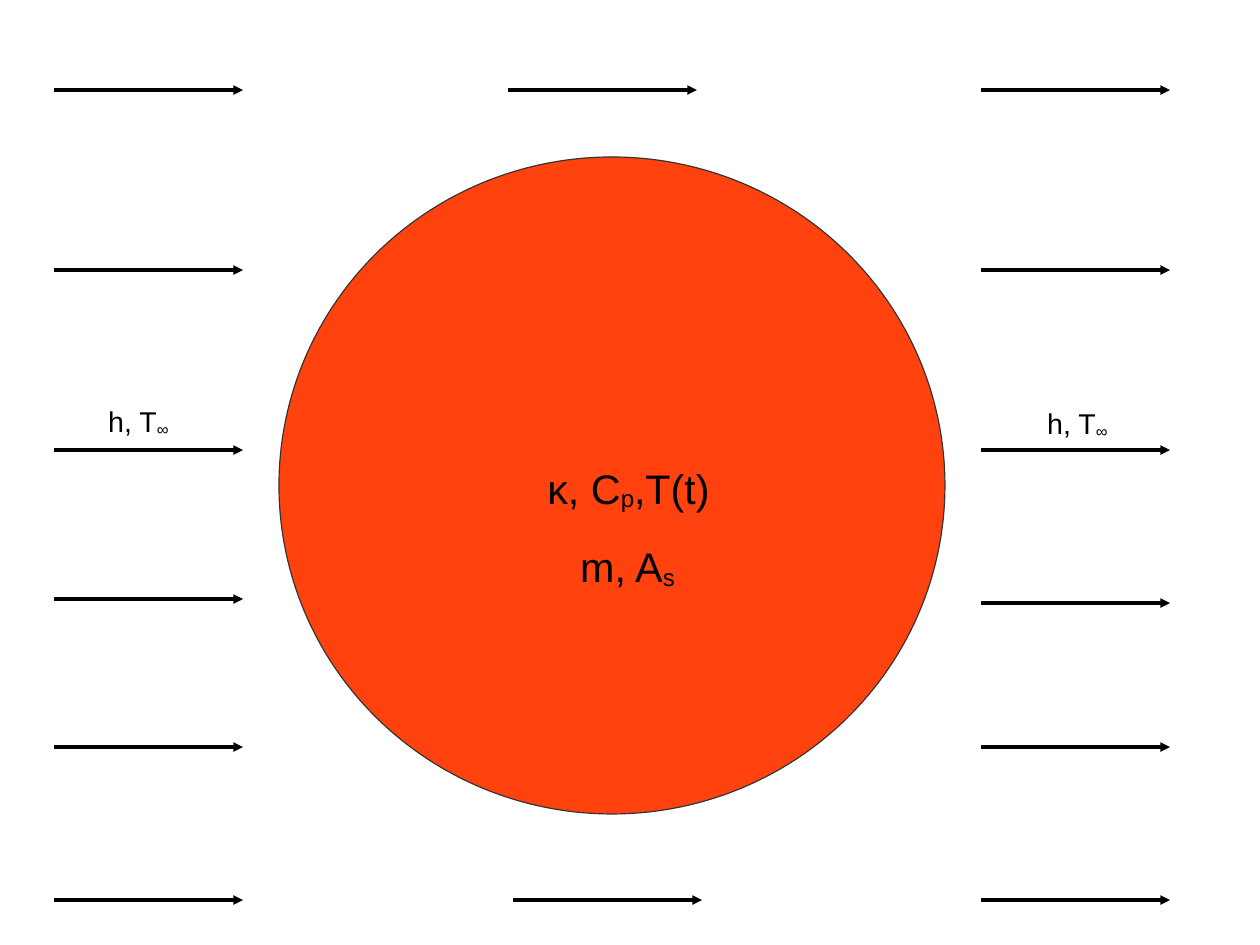
from lxml import etree
from pptx import Presentation
from pptx.dml.color import RGBColor
from pptx.enum.shapes import MSO_CONNECTOR, MSO_SHAPE
from pptx.enum.text import MSO_ANCHOR, PP_ALIGN
from pptx.oxml.ns import qn
from pptx.util import Emu, Pt

STRAIGHT = MSO_CONNECTOR.STRAIGHT
OVAL = MSO_SHAPE.OVAL
MIDDLE = MSO_ANCHOR.MIDDLE
LEFT, CENTER = PP_ALIGN.LEFT, PP_ALIGN.CENTER

EMU_PER_PX = 8000
FONT = "Arial"
COLORS = {"sphere": "FF420E", "outline": "333333", "ink": "000000"}

ARROW_LENGTH = 189
INFLOW_X, OUTFLOW_X = 54, 981
INFLOW_ROWS = (90, 270, 450, 599, 747, 900)
OUTFLOW_ROWS = (90, 270, 450, 603, 747, 900)
PASSING_ARROWS = ((508, 90), (513, 900))


def px(value):
    return Emu(value * EMU_PER_PX)


def color(name):
    return RGBColor.from_string(COLORS[name])


def add_sphere(slide, left, top, width, height):
    shape = slide.shapes.add_shape(OVAL, px(left), px(top), px(width), px(height))
    shape.shadow.inherit = False
    shape.fill.solid()
    shape.fill.fore_color.rgb = color("sphere")
    shape.line.color.rgb = color("outline")
    shape.line.width = Pt(0)


def add_flow_arrow(slide, left, y):
    arrow = slide.shapes.add_connector(
        STRAIGHT, px(left), px(y), px(left + ARROW_LENGTH), px(y))
    arrow.line.color.rgb = color("ink")
    arrow.line.width = Pt(0)
    line = arrow.line._get_or_add_ln()
    etree.SubElement(line, qn("a:tailEnd"), type="triangle")
    etree.SubElement(arrow._element.spPr, qn("a:effectLst"))


def add_formula(slide, left, top, width, height, size, parts, alignment=LEFT):
    """Every second part is set as a subscript."""
    box = slide.shapes.add_textbox(px(left), px(top), px(width), px(height))
    frame = box.text_frame
    frame.word_wrap = False
    frame.vertical_anchor = MIDDLE
    paragraph = frame.paragraphs[0]
    paragraph.alignment = alignment
    paragraph.font.name = FONT
    paragraph.font.size = Pt(size)
    paragraph.font.color.rgb = color("ink")
    for index, text in enumerate(parts):
        run = paragraph.add_run()
        run.text = text
        if index % 2:
            run.font._element.set("baseline", "-8000")


def main():
    presentation = Presentation()
    presentation.slide_width = px(1260)
    presentation.slide_height = px(945)
    slide = presentation.slides.add_slide(presentation.slide_layouts[6])

    # Heated sphere and its properties
    add_sphere(slide, 279, 157, 666, 657)
    add_formula(slide, 536, 448, 185, 79, 26, ("κ, C", "p", ",T(t)"), CENTER)
    add_formula(slide, 569, 531, 118, 71, 26, ("m, A", "s"))

    # Flow around the sphere
    for left, rows in ((INFLOW_X, INFLOW_ROWS), (OUTFLOW_X, OUTFLOW_ROWS)):
        for y in rows:
            add_flow_arrow(slide, left, y)
    for left, y in PASSING_ARROWS:
        add_flow_arrow(slide, left, y)

    # Free-stream labels
    for left, top in ((97, 395), (1036, 397)):
        add_formula(slide, left, top, 83, 53, 18, ("h, T", "∞"))

    presentation.save("out.pptx")


if __name__ == "__main__":
    main()
